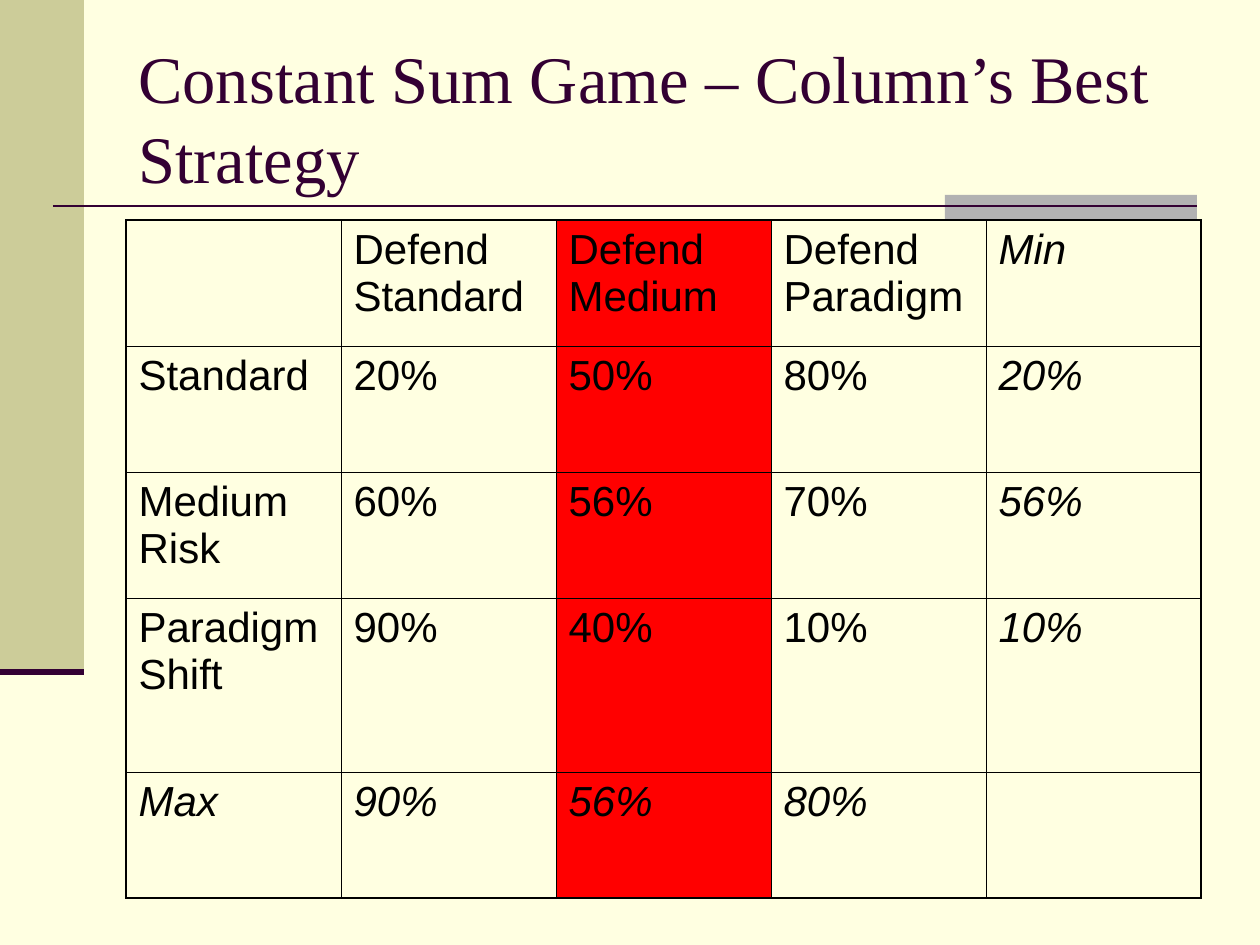
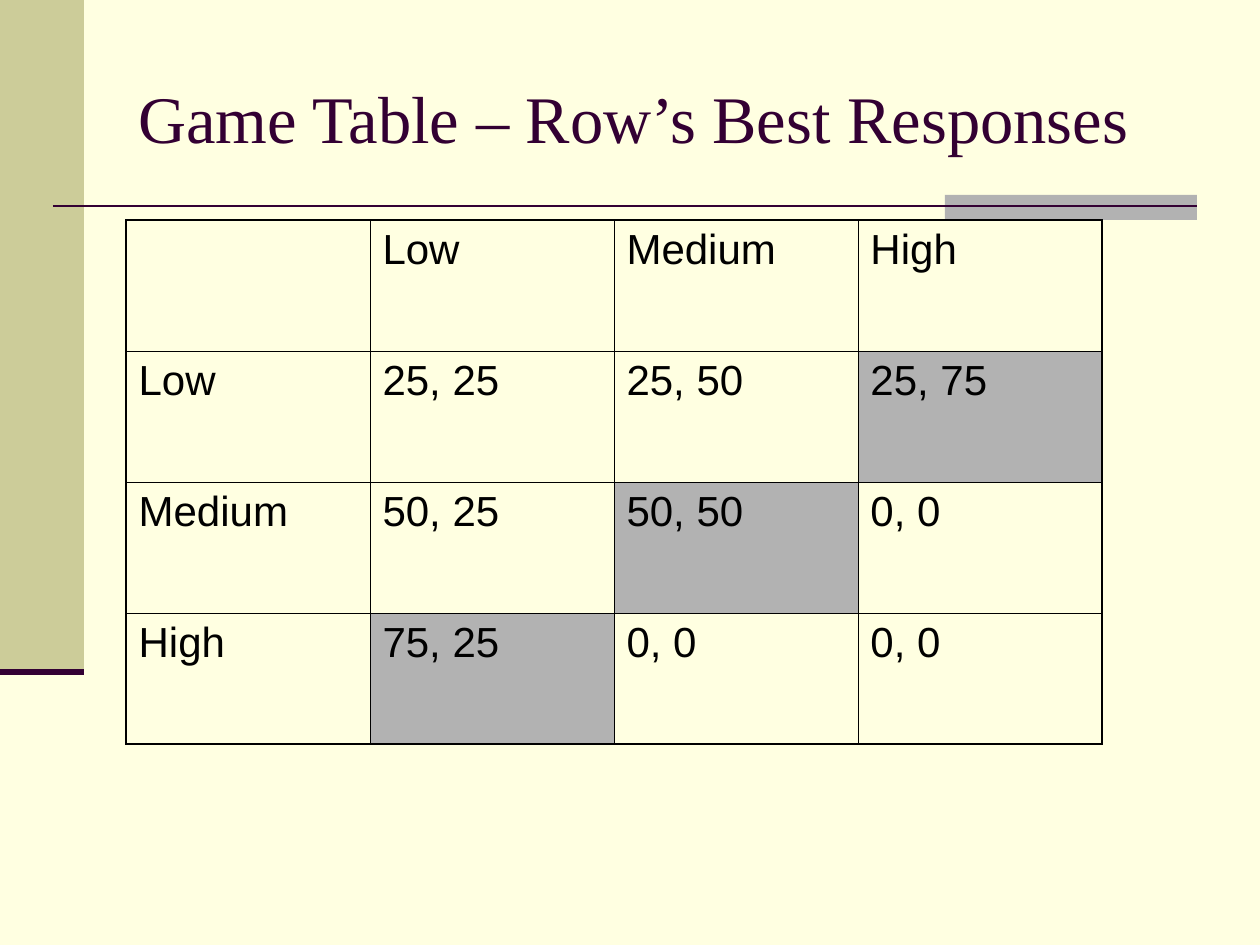
from dataclasses import dataclass

from lxml.etree import SubElement
from pptx import Presentation
from pptx.dml.color import RGBColor as Color
from pptx.enum.shapes import MSO_CONNECTOR as Connector, MSO_SHAPE as Preset
from pptx.enum.text import MSO_ANCHOR as Anchor
from pptx.oxml import parse_xml
from pptx.oxml.ns import nsdecls, qn
from pptx.util import Pt

PAGES = [
    {
        "title": "Constant Sum Game – Column’s Best Strategy",
        "rows": [
            ["", "Defend Standard", "Defend Medium", "Defend Paradigm", "Min"],
            ["Standard", "20%", "50%", "80%", "20%"],
            ["Medium Risk", "60%", "56%", "70%", "56%"],
            ["Paradigm Shift", "90%", "40%", "10%", "10%"],
            ["Max", "90%", "56%", "80%", ""],
        ],
        "column_width": 215,
        "row_heights": [126, 126, 126, 174, 126],
        "marked": [(row, 2) for row in range(5)],
        "mark_color": "FF0000",
        "has_extremes": True,
    },
    {
        "title": "Game Table – Row’s Best Responses",
        "rows": [
            ["", "Low", "Medium", "High"],
            ["Low", "25, 25", "25, 50", "25, 75"],
            ["Medium", "50, 25", "50, 50", "0, 0"],
            ["High", "75, 25", "0, 0", "0, 0"],
        ],
        "column_width": 244,
        "row_heights": [131] * 4,
        "marked": [(row, 4 - row) for row in range(1, 4)],
        "mark_color": "B2B2B2",
        "has_extremes": False,
    },
]


@dataclass(frozen=True)
class Theme:
    paper: str = "FFFFE1"
    band: str = "CCCC99"
    tab: str = "B2B2B2"
    accent: str = "330033"
    ink: str = "000000"
    title_font: str = "Times New Roman"
    title_size: int = 38
    body_font: str = "Arial"
    body_size: int = 24
    outer_border: float = 1.08
    inner_border: float = 0.45


THEME = Theme()
PAGE_SIZE = (1260, 945)
BANDS = [((0, 0, 84, 672), THEME.band), ((945, 195, 252, 25), THEME.tab)]
RULES = [((53, 206, 1197, 206), 1.5), ((0, 672, 84, 672), 3.5)]
TITLE_PLACE = (126, 38, 1071, 157)
TABLE_CORNER = (126, 220)


def px(length):
    return round(length * 914400 / 126)


def place(*lengths):
    return [px(length) for length in lengths]


def add_span(para, text, font, size, color, italic=False):
    span = para.add_run()
    span.text = text
    span.font.name = font
    span.font.size = Pt(size)
    span.font.italic = italic
    span.font.color.rgb = Color.from_string(color)


def add_frame(page):
    page.background.fill.solid()
    page.background.fill.fore_color.rgb = Color.from_string(THEME.paper)
    for bounds, color in BANDS:
        band = page.shapes.add_shape(Preset.RECTANGLE, *place(*bounds))
        band.shadow.inherit = False
        band.fill.solid()
        band.fill.fore_color.rgb = Color.from_string(color)
        band.line.fill.background()
    for ends, width in RULES:
        rule = page.shapes.add_connector(Connector.STRAIGHT, *place(*ends))
        rule.line.color.rgb = Color.from_string(THEME.accent)
        rule.line.width = Pt(width)
        SubElement(rule._element.spPr, qn("a:effectLst"))


def add_title(page, text):
    box = page.shapes.add_textbox(*place(*TITLE_PLACE))
    box.text_frame.word_wrap = True
    box.text_frame.vertical_anchor = Anchor.MIDDLE
    para = box.text_frame.paragraphs[0]
    add_span(para, text, THEME.title_font, THEME.title_size, THEME.accent)


def add_borders(cell, outer_sides):
    properties = cell._tc.get_or_add_tcPr()
    for index, side in enumerate("LRTB"):
        width = THEME.outer_border if side in outer_sides else THEME.inner_border
        properties.insert(index, parse_xml(
            f'<a:ln{side} {nsdecls("a")} w="{Pt(width)}"><a:solidFill>'
            f'<a:srgbClr val="{THEME.ink}"/></a:solidFill></a:ln{side}>'))


def add_game(page, game):
    rows, heights = game["rows"], game["row_heights"]
    last_row, last_column = len(rows) - 1, len(rows[0]) - 1
    width = game["column_width"] * len(rows[0])
    table = page.shapes.add_table(
        len(rows), len(rows[0]), *place(*TABLE_CORNER, width, sum(heights))).table
    table.first_row = table.horz_banding = False
    for column in table.columns:
        column.width = px(game["column_width"])
    for r, (texts, height) in enumerate(zip(rows, heights)):
        table.rows[r].height = px(height)
        for c, text in enumerate(texts):
            cell = table.cell(r, c)
            if (r, c) in game["marked"]:
                cell.fill.solid()
                cell.fill.fore_color.rgb = Color.from_string(game["mark_color"])
            else:
                cell.fill.background()
            edges = {"L": c == 0, "R": c == last_column, "T": r == 0, "B": r == last_row}
            add_borders(cell, [side for side, outer in edges.items() if outer])
            if text:
                italic = game["has_extremes"] and (edges["R"] or edges["B"])
                add_span(cell.text_frame.paragraphs[0], text, THEME.body_font,
                         THEME.body_size, THEME.ink, italic)


def main():
    deck = Presentation()
    deck.slide_width, deck.slide_height = place(*PAGE_SIZE)
    for game in PAGES:
        page = deck.slides.add_slide(deck.slide_layouts[6])
        add_frame(page)
        add_title(page, game["title"])
        add_game(page, game)
    deck.save("out.pptx")


if __name__ == "__main__":
    main()
